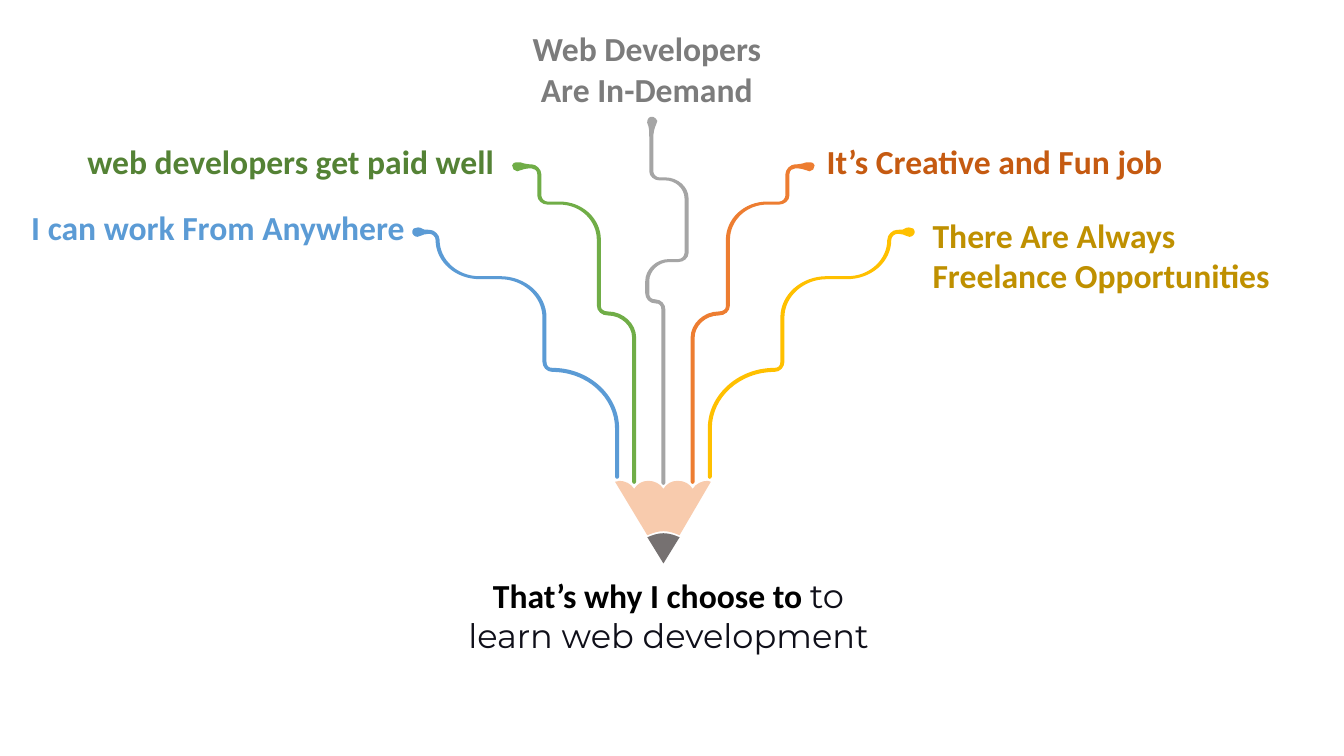
import pptx
import pptx.util
import pptx.dml.color
import pptx.enum.text
import pptx.oxml.ns
import lxml.etree

SLIDE_W, SLIDE_H = 13.33, 7.5
AXIS = 6.58

OUTER_STRAND = [
    (5.48, 3.65), (5.44, 3.65, 5.42, 3.63, 5.42, 3.59), (5.42, 3.15),
    (5.42, 2.92, 5.21, 2.74, 4.96, 2.74), (4.75, 2.74),
    (4.54, 2.74, 4.36, 2.58, 4.36, 2.38), (4.36, 2.33, 4.31, 2.28, 4.26, 2.28),
    (4.25, 2.28), (4.22, 2.28, 4.19, 2.28, 4.17, 2.26),
    (4.15, 2.26, 4.14, 2.25, 4.13, 2.26), (4.11, 2.26, 4.09, 2.27, 4.09, 2.29),
    (4.08, 2.32, 4.11, 2.35, 4.14, 2.35), (4.15, 2.35, 4.16, 2.35, 4.17, 2.34),
    (4.19, 2.33, 4.22, 2.32, 4.25, 2.32), (4.26, 2.32),
    (4.29, 2.32, 4.32, 2.35, 4.32, 2.38), (4.32, 2.6, 4.52, 2.77, 4.76, 2.77),
    (4.96, 2.77), (5.19, 2.77, 5.38, 2.94, 5.38, 3.15), (5.38, 3.59),
    (5.38, 3.64, 5.42, 3.69, 5.48, 3.69), (5.82, 3.69, 6.1, 3.94, 6.1, 4.25),
    (6.1, 4.73), (6.1, 4.74, 6.11, 4.75, 6.12, 4.75),
    (6.13, 4.75, 6.14, 4.74, 6.14, 4.73), (6.14, 4.25),
    (6.14, 3.92, 5.84, 3.65, 5.48, 3.65),
]
INNER_STRAND = [
    (6.03, 3.09), (5.99, 3.09, 5.96, 3.07, 5.96, 3.04), (5.96, 2.38),
    (5.96, 2.17, 5.78, 2, 5.55, 2), (5.43, 2),
    (5.4, 2, 5.37, 1.97, 5.37, 1.94), (5.37, 1.73),
    (5.37, 1.68, 5.32, 1.63, 5.27, 1.63), (5.25, 1.63),
    (5.22, 1.63, 5.19, 1.62, 5.16, 1.61), (5.15, 1.61, 5.14, 1.6, 5.12, 1.61),
    (5.1, 1.61, 5.09, 1.62, 5.08, 1.64), (5.08, 1.67, 5.1, 1.7, 5.13, 1.7),
    (5.14, 1.7, 5.15, 1.7, 5.16, 1.69), (5.19, 1.68, 5.22, 1.67, 5.25, 1.67),
    (5.27, 1.67), (5.3, 1.67, 5.33, 1.69, 5.33, 1.73), (5.33, 1.94),
    (5.33, 1.99, 5.38, 2.03, 5.43, 2.03), (5.55, 2.03),
    (5.76, 2.03, 5.92, 2.19, 5.92, 2.38), (5.92, 3.03),
    (5.92, 3.09, 5.97, 3.13, 6.03, 3.13), (6.16, 3.13, 6.27, 3.23, 6.27, 3.35),
    (6.27, 4.78), (6.27, 4.79, 6.28, 4.8, 6.29, 4.8),
    (6.3, 4.8, 6.31, 4.79, 6.31, 4.78), (6.31, 3.35),
    (6.31, 3.21, 6.18, 3.09, 6.03, 3.09),
]
MIDDLE_STRAND = [
    (6.6, 1.76), (6.54, 1.76), (6.51, 1.76, 6.48, 1.73, 6.48, 1.7), (6.48, 1.37),
    (6.48, 1.32, 6.49, 1.27, 6.51, 1.23), (6.52, 1.22, 6.52, 1.21, 6.52, 1.2),
    (6.51, 1.18, 6.5, 1.17, 6.48, 1.16), (6.44, 1.15, 6.42, 1.18, 6.42, 1.21),
    (6.42, 1.22), (6.44, 1.26, 6.44, 1.31, 6.44, 1.36), (6.44, 1.7),
    (6.44, 1.75, 6.49, 1.79, 6.54, 1.79), (6.6, 1.79),
    (6.7, 1.79, 6.79, 1.87, 6.79, 1.97), (6.79, 2.51),
    (6.79, 2.54, 6.76, 2.57, 6.73, 2.57), (6.64, 2.57),
    (6.51, 2.57, 6.4, 2.67, 6.4, 2.79), (6.4, 2.91),
    (6.4, 2.96, 6.44, 3.01, 6.5, 3.01), (6.54, 3.01, 6.56, 3.03, 6.56, 3.07),
    (6.56, 4.79), (6.56, 4.8, 6.57, 4.81, 6.58, 4.81),
    (6.59, 4.81, 6.6, 4.8, 6.6, 4.79), (6.6, 3.07),
    (6.6, 3.02, 6.56, 2.97, 6.5, 2.97), (6.46, 2.97, 6.44, 2.95, 6.44, 2.91),
    (6.44, 2.79), (6.44, 2.69, 6.53, 2.6, 6.64, 2.6), (6.73, 2.6),
    (6.78, 2.6, 6.83, 2.56, 6.83, 2.51), (6.83, 1.97),
    (6.83, 1.85, 6.72, 1.76, 6.6, 1.76),
]
PENCIL_WOOD = [
    (6.74, 5.31), (7.05, 4.78), (7.04, 4.78, 7.03, 4.77, 7.02, 4.77),
    (6.96, 4.77, 6.9, 4.8, 6.87, 4.85), (6.84, 4.8, 6.79, 4.77, 6.72, 4.77),
    (6.66, 4.77, 6.61, 4.8, 6.58, 4.85), (6.55, 4.8, 6.49, 4.77, 6.43, 4.77),
    (6.37, 4.77, 6.32, 4.8, 6.29, 4.85), (6.26, 4.8, 6.2, 4.77, 6.14, 4.77),
    (6.13, 4.77, 6.12, 4.78, 6.1, 4.78), (6.42, 5.31),
    (6.47, 5.29, 6.52, 5.27, 6.58, 5.27), (6.64, 5.27, 6.69, 5.29, 6.74, 5.31),
]
PENCIL_TIP = [
    (6.74, 5.33), (6.69, 5.31, 6.64, 5.29, 6.58, 5.29),
    (6.52, 5.29, 6.47, 5.31, 6.42, 5.33), (6.58, 5.59),
]
DRAWING = [
    (OUTER_STRAND, False, "5B9BD5"), (OUTER_STRAND, True, "FFC000"),
    (INNER_STRAND, False, "70AD47"), (INNER_STRAND, True, "ED7D31"),
    (MIDDLE_STRAND, False, "A5A5A5"),
    (PENCIL_WOOD, False, "F8CBAD"), (PENCIL_TIP, False, "767171"),
]
REASONS = [
    ("There Are Always Freelance Opportunities", (9.25, 2.07, 3.37, 0.91), "LEFT", "BF9000"),
    ("I can work From Anywhere", (0.31, 2, 3.72, 0.5), "LEFT", "5B9BD5"),
    ("web developers get paid well", (0.72, 1.35, 4.18, 0.5), "RIGHT", "548235"),
    ("It’s Creative and Fun job", (8.2, 1.35, 3.37, 0.5), "LEFT", "C55A11"),
    ("Web Developers Are In-Demand", (5.09, 0.22, 2.65, 0.91), "CENTER", "7C7C7C"),
]
CONCLUSION_BOX = (4.53, 5.64, 4.2, 0.91)
CONCLUSION = [
    ("That’s why I choose to ", "Calibri", "000000", True),
    ("to learn web development", "Montserrat", "0F0F19", False),
]


def rgb(value):
    return pptx.dml.color.RGBColor.from_string(value)


def to_points(segment, mirrored):
    return [(pptx.util.Inches(2 * AXIS - x if mirrored else x), pptx.util.Inches(y))
            for x, y in zip(segment[::2], segment[1::2])]


def bend_segments(sp, segments):
    qn = pptx.oxml.ns.qn
    for line, points in zip(list(sp.element.iter(qn("a:lnTo"))), segments):
        if len(points) == 3:
            curve = lxml.etree.Element(qn("a:cubicBezTo"))
            for x, y in points:
                lxml.etree.SubElement(curve, qn("a:pt"), x=str(x - sp.left), y=str(y - sp.top))
            line.getparent().replace(line, curve)


def draw_outline(s, outline, mirrored, color):
    start, *segments = [to_points(segment, mirrored) for segment in outline]
    builder = s.shapes.build_freeform(*start[0])
    builder.add_line_segments([points[-1] for points in segments], close=True)
    sp = builder.convert_to_shape()
    bend_segments(sp, segments)
    sp.shadow.inherit = False
    sp.fill.solid()
    sp.fill.fore_color.rgb = rgb(color)
    sp.line.fill.background()


def fill_text(sp, box, align, runs):
    sp.left, sp.top, sp.width, sp.height = map(pptx.util.Inches, box)
    tf = sp.text_frame
    tf.word_wrap = True
    tf.auto_size = pptx.enum.text.MSO_AUTO_SIZE.SHAPE_TO_FIT_TEXT
    tf.vertical_anchor = pptx.enum.text.MSO_ANCHOR.BOTTOM
    tf.margin_left = tf.margin_right = 0
    tf.margin_top = tf.margin_bottom = pptx.util.Inches(0.05)
    p = tf.paragraphs[0]
    p.alignment = pptx.enum.text.PP_ALIGN[align]
    for text, font, color, bold in runs:
        r = p.add_run()
        r.text = text
        r.font.name = font
        r.font.size = pptx.util.Pt(24)
        r.font.bold = bold
        r.font.color.rgb = rgb(color)


def main():
    prs = pptx.Presentation()
    prs.slide_width = pptx.util.Inches(SLIDE_W)
    prs.slide_height = pptx.util.Inches(SLIDE_H)
    s = prs.slides.add_slide(prs.slide_layouts[5])
    for outline, mirrored, color in DRAWING:
        draw_outline(s, outline, mirrored, color)
    for text, box, align, color in REASONS:
        sp = s.shapes.add_textbox(0, 0, 0, 0)
        fill_text(sp, box, align, [(text, "Calibri", color, True)])
    fill_text(s.shapes.title, CONCLUSION_BOX, "CENTER", CONCLUSION)
    prs.save("out.pptx")


if __name__ == "__main__":
    main()
